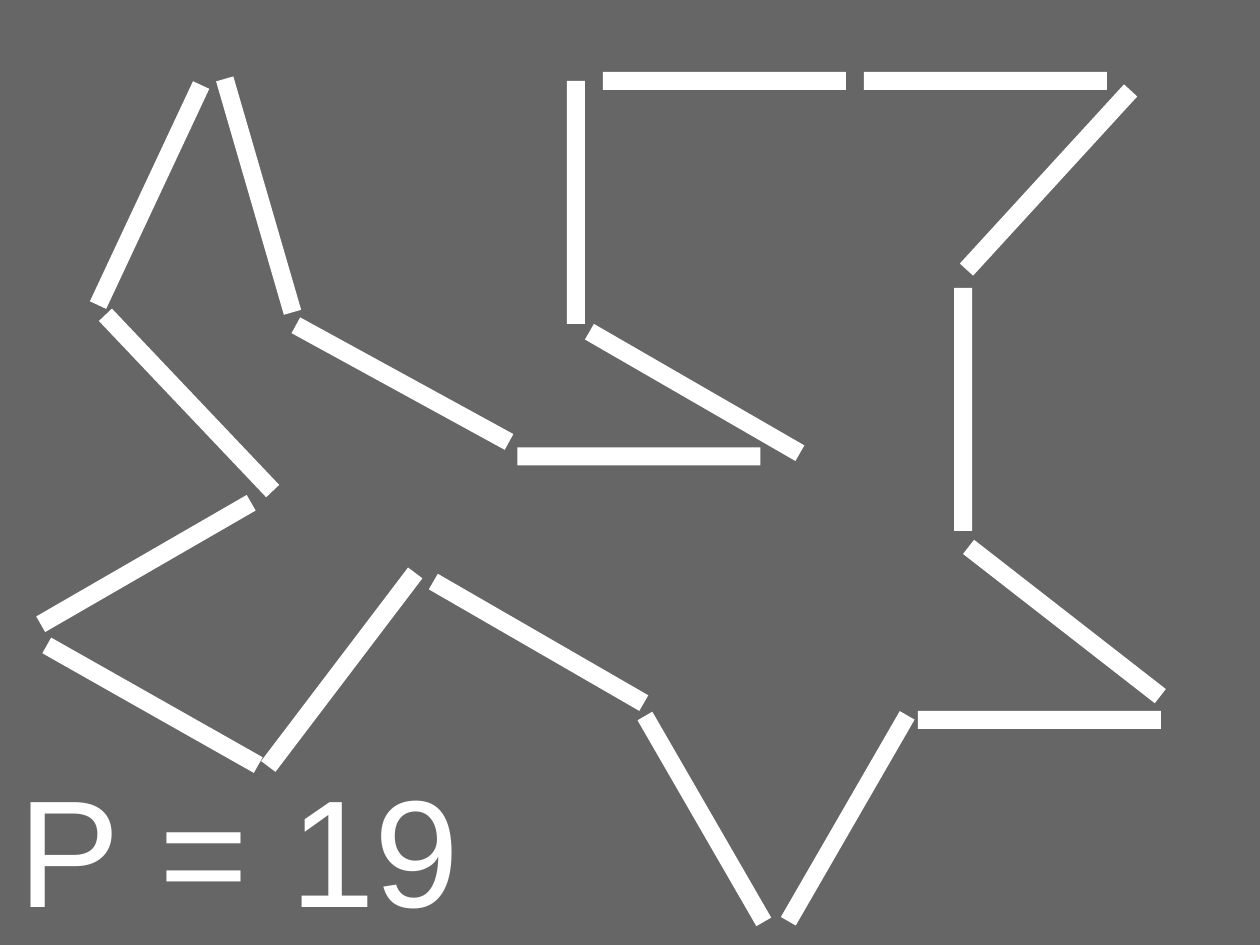
from typing import NamedTuple

from pptx import Presentation
from pptx.dml.color import RGBColor
from pptx.enum.shapes import MSO_SHAPE
from pptx.enum.text import MSO_ANCHOR, PP_ALIGN
from pptx.util import Cm, Length, Pt

RECTANGLE = MSO_SHAPE.RECTANGLE
MIDDLE = MSO_ANCHOR.MIDDLE
LEFT = PP_ALIGN.LEFT

GREY = RGBColor(0x66, 0x66, 0x66)
WHITE = RGBColor(0xFF, 0xFF, 0xFF)

# Grid of square cells, sized in centimetres
CELL = 0.28
COLUMNS, ROWS = 100, 75
STICK_LENGTH, STICK_THICKNESS = 19.29, 1.43
SHORT_LENGTH, SHORT_THICKNESS = 18.87, 1.36


class Stick(NamedTuple):
    """A stick by its centre on the grid and its clockwise angle."""
    column: float
    row: float
    angle: float = 0
    length: float = STICK_LENGTH
    thickness: float = STICK_THICKNESS


# Clockwise round the outline, from the upper left
STICKS = [
    Stick(20.52, 15.53, 73.8),
    Stick(31.94, 30.45, 28.7),
    Stick(50.71, 36.23),
    Stick(55.13, 31.15, 30),
    Stick(45.71, 16.07, 90),
    Stick(57.5, 6.43),
    Stick(78.21, 6.43),
    Stick(83.21, 14.29, 132.5),
    Stick(76.43, 32.5, 90),
    Stick(84.48, 49.33, 37.9),
    Stick(82.5, 57.14),
    Stick(67.28, 64.95, 120, SHORT_LENGTH, SHORT_THICKNESS),
    Stick(55.9, 65, 60, SHORT_LENGTH, SHORT_THICKNESS),
    Stick(42.74, 50.98, 30),
    Stick(27.12, 53.15, 127.2),
    Stick(12.1, 55.98, 29.5),
    Stick(11.58, 44.72, 150),
    Stick(15, 31.98, 46.5),
    Stick(11.87, 15.48, 115.1),
]


def cells(count: float) -> Length:
    return Cm(CELL * count)


def add_bar(slide, column: float, row: float, columns: float, rows: float,
            colour: RGBColor, angle: float = 0) -> None:
    shape = slide.shapes.add_shape(
        RECTANGLE, cells(column), cells(row), cells(columns), cells(rows))
    shape.rotation = angle
    shape.shadow.inherit = False
    shape.fill.solid()
    shape.fill.fore_color.rgb = colour
    shape.line.fill.background()


def add_stick(slide, stick: Stick) -> None:
    add_bar(slide, stick.column - stick.length / 2,
            stick.row - stick.thickness / 2,
            stick.length, stick.thickness, WHITE, stick.angle)


def add_perimeter(slide, text: str) -> None:
    box = slide.shapes.add_textbox(
        cells(1.43), cells(59.31), cells(57.24), cells(15.69))
    frame = box.text_frame
    frame.word_wrap = True
    frame.vertical_anchor = MIDDLE
    frame.margin_left = frame.margin_right = 0
    frame.margin_top = frame.margin_bottom = 0
    paragraph = frame.paragraphs[0]
    paragraph.text = text
    paragraph.alignment = LEFT
    paragraph.font.name = "Arial"
    paragraph.font.size = Pt(96)
    paragraph.font.color.rgb = WHITE


def main() -> None:
    presentation = Presentation()
    presentation.slide_width = cells(COLUMNS)
    presentation.slide_height = cells(ROWS)
    slide = presentation.slides.add_slide(presentation.slide_layouts[6])

    # Grey backdrop
    add_bar(slide, 0, 0, COLUMNS, ROWS, GREY)

    # Figure made of sticks
    for stick in STICKS:
        add_stick(slide, stick)

    # Its perimeter, one unit a stick
    add_perimeter(slide, "P = 19")

    presentation.save("out.pptx")


if __name__ == "__main__":
    main()
